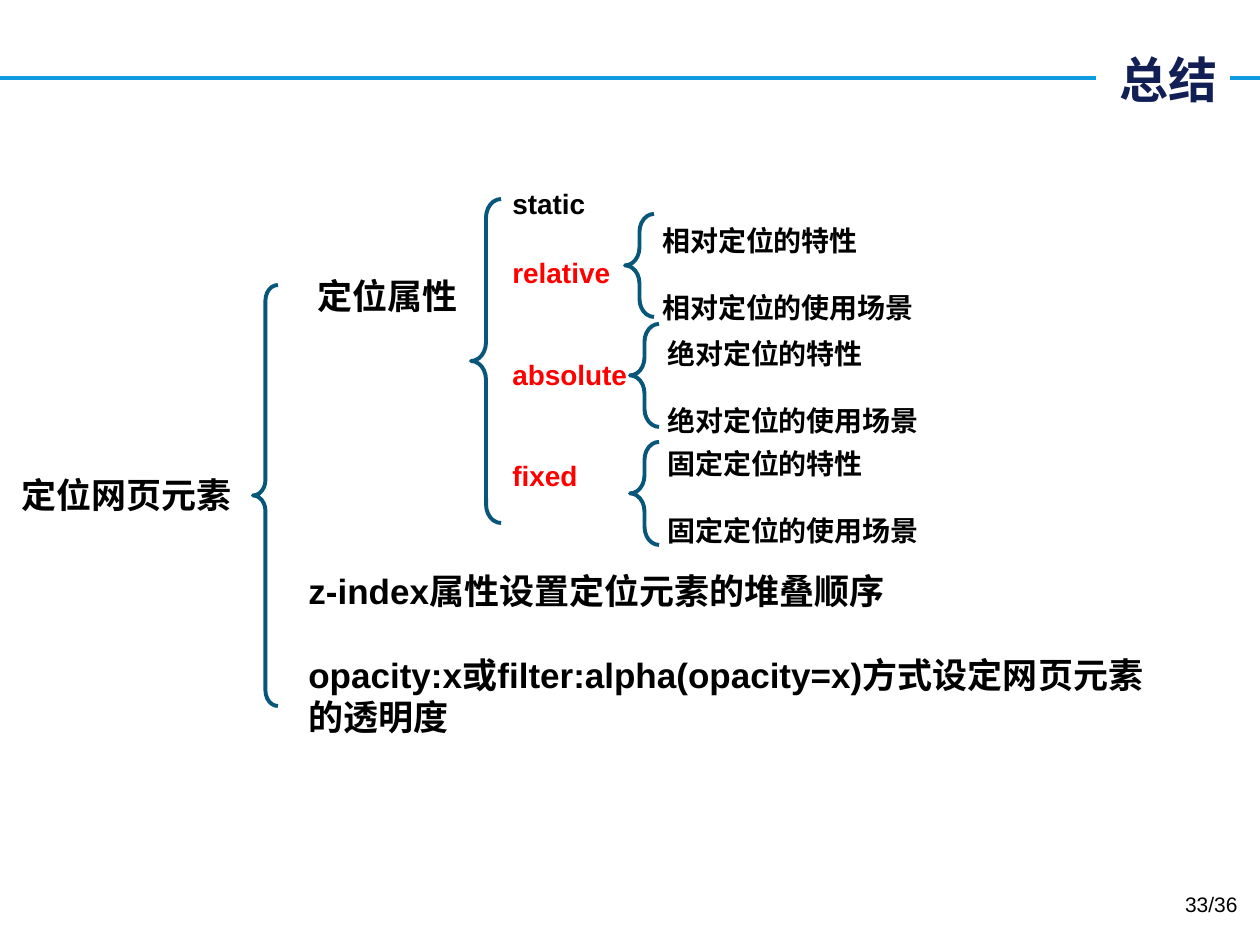
from lxml import etree
from pptx import Presentation, util as u
from pptx.dml.color import RGBColor
from pptx.enum import shapes, text
from pptx.oxml.ns import qn

BLACK = RGBColor(0x00, 0x00, 0x00)
WHITE = RGBColor(0xFF, 0xFF, 0xFF)
RED = RGBColor(0xFF, 0x00, 0x00)
NAVY = RGBColor(0x12, 0x1F, 0x55)
BLUE = RGBColor(0x0E, 0x9C, 0xDE)
TEAL = RGBColor(0x08, 0x57, 0x7A)
LATIN, HAN = "Arial", "Noto Sans CJK SC"
PX = 914400 / 126


def px(*nums):
    return [u.Emu(round(n * PX)) for n in nums]


def write(shape, lines, size=16, bold=True, color=BLACK, font=LATIN,
          align=text.PP_ALIGN.LEFT, anchor=text.MSO_ANCHOR.TOP):
    """Fill a shape with lines, each a tuple (words, gap above, colour or None)."""
    frame = shape.text_frame
    frame.word_wrap = True
    frame.auto_size = text.MSO_AUTO_SIZE.NONE
    frame.vertical_anchor = anchor
    for i, (words, gap, tint) in enumerate(lines):
        para = frame.add_paragraph() if i else frame.paragraphs[0]
        para.alignment = align
        if gap:
            para.space_before = px(gap)[0]
        run = para.add_run()
        run.text = words
        face = run.font
        face.size, face.bold, face.name = u.Pt(size), bold, font
        face.color.rgb = tint or color
        etree.SubElement(run._r.rPr, qn("a:ea"), typeface=HAN)
    return frame


deck = Presentation()
deck.slide_width, deck.slide_height = px(1260, 945)
slide = deck.slides.add_slide(deck.slide_layouts[5])
items = slide.shapes

# Title on its rule
title = items.title
title.left, title.top, title.width, title.height = px(1096, 38, 134, 81)
title.fill.solid()
title.fill.fore_color.rgb = WHITE
write(title, [("总结", 0, None)], size=28, color=NAVY, font=HAN,
      align=text.PP_ALIGN.RIGHT, anchor=text.MSO_ANCHOR.MIDDLE)

rule = items.add_connector(shapes.MSO_CONNECTOR.STRAIGHT, *px(0, 78, 1260, 78))
rule.line.color.rgb = BLUE
rule.line.width = u.Pt(2.25)
etree.SubElement(rule._element.spPr, qn("a:effectLst"))
title._element.addprevious(rule._element)

# Root and its three branches
root = items.add_textbox(*px(0, 467, 253, 55))
write(root, [("定位网页元素", 0, None)], size=20, align=text.PP_ALIGN.CENTER)

main = items.add_textbox(*px(296, 268, 879, 479))
frame = write(main, [
    ("定位属性", 0, None),
    ("z-index属性设置定位元素的堆叠顺序", 253, None),
    ("opacity:x或filter:alpha(opacity=x)方式设定网页元素的透明度", 42, None),
], size=20)
frame.paragraphs[0]._p.get_or_add_pPr().set("marL", str(px(9)[0]))

# Values of the position property
values = items.add_textbox(*px(500, 180, 149, 352))
write(values, [("static", 0, None), ("relative", 36, RED),
               ("absolute", 68, RED), ("fixed", 68, RED)])

# Details of each value
for kind, left, top in [("相对", 650, 217), ("绝对", 655, 330), ("固定", 655, 440)]:
    note = items.add_textbox(*px(left, top, 297, 115))
    write(note, [(kind + "定位的特性", 0, None),
                 (kind + "定位的使用场景", 34, None)])

# Braces: left, top, width, height
for box in [(253, 285, 25, 421), (471, 199, 30, 324), (625, 214, 29, 103),
            (630, 324, 29, 103), (630, 442, 29, 103)]:
    brace = items.add_shape(shapes.MSO_SHAPE.LEFT_BRACE, *px(*box))
    brace.shadow.inherit = False
    brace.fill.background()
    brace.line.color.rgb = TEAL
    brace.line.width = u.Pt(2.25)
    brace.adjustments[0] = 0.62

page = items.add_textbox(*px(956, 885, 294, 50))
write(page, [("33/36", 0, None)], size=12, bold=False, align=text.PP_ALIGN.RIGHT)

deck.save("out.pptx")
